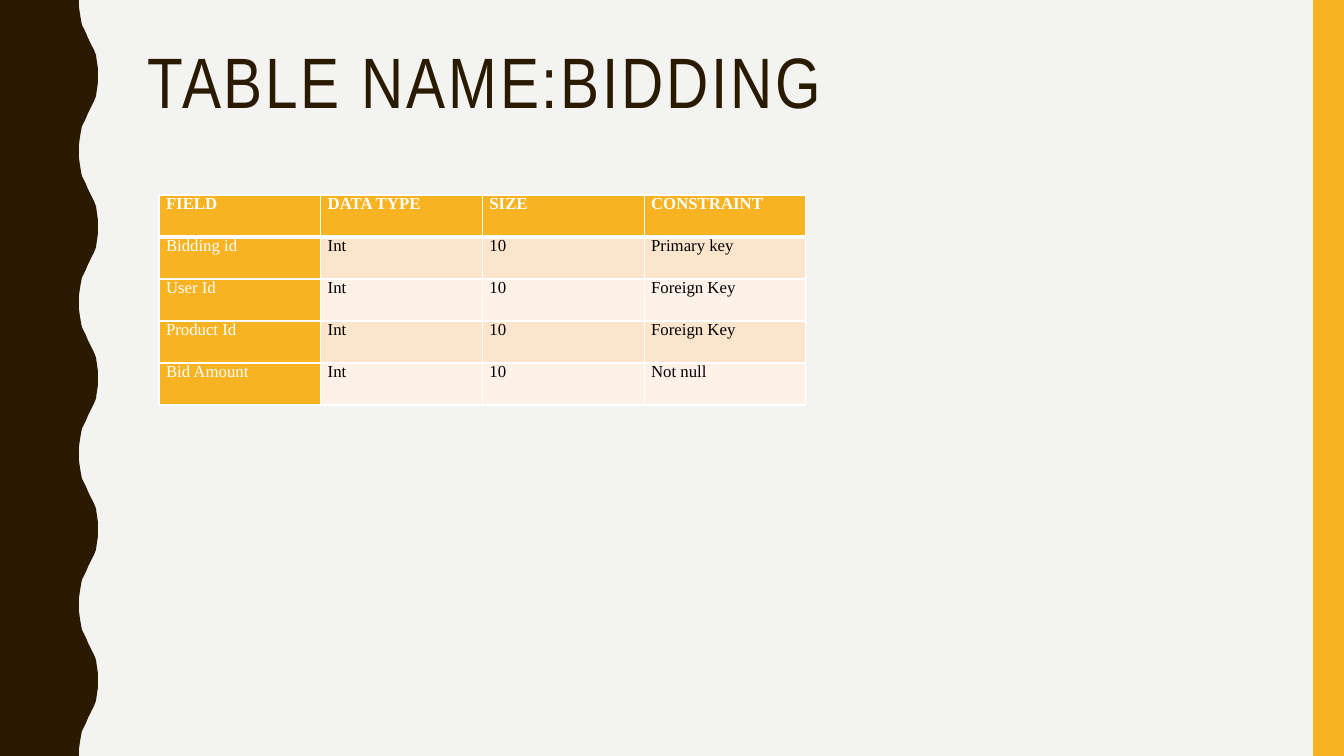
from lxml.etree import SubElement
from pptx import Presentation
from pptx.dml.color import RGBColor
from pptx.enum.shapes import MSO_SHAPE
from pptx.enum.text import MSO_ANCHOR
from pptx.oxml.ns import qn
from pptx.util import Pt

SLIDE_W, SLIDE_H = 1344, 756
EMU_PER_PX = 12192000 / SLIDE_W

BROWN, AMBER, PAPER = "2A1A00", "F8B323", "F3F3F2"
WHITE, BLACK = "FFFFFF", "000000"
BANDS = ("FCE5CD", "FEF2E8")

# Trough to crest of one wave; the way back mirrors it.
HALF_WAVE = [(79, 0), (79, 7), (80, 14), (81, 20), (82, 25), (84, 29), (86, 33),
             (88, 38), (90, 42), (92, 46), (94, 50), (96, 55), (97, 62), (98, 69),
             (98, 76)]
WAVE_COUNT = 5

BIDDING_FIELDS = [
    ("FIELD", "DATA TYPE", "SIZE", "CONSTRAINT"),
    ("Bidding id", "Int", "10", "Primary key"),
    ("User Id", "Int", "10", "Foreign Key"),
    ("Product Id", "Int", "10", "Foreign Key"),
    ("Bid Amount", "Int", "10", "Not null"),
]


def px(length):
    return round(length * EMU_PER_PX)


def color(hex_string):
    return RGBColor.from_string(hex_string)


def wavy_edge():
    """Points down the right edge of the side band, top to bottom."""
    period = SLIDE_H / WAVE_COUNT
    wave = HALF_WAVE + [(x, period - y) for x, y in HALF_WAVE[-2::-1]]
    return [(x, y + period * n) for n in range(WAVE_COUNT) for x, y in wave]


class SlideBuilder:
    def __init__(self, slide):
        self.slide = slide
        self.title_font = "Arial Narrow"
        self.table_font = "Times New Roman"

    def background(self, fill):
        self.slide.background.fill.solid()
        self.slide.background.fill.fore_color.rgb = color(fill)

    def paint(self, shape, fill):
        shape.shadow.inherit = False
        shape.fill.solid()
        shape.fill.fore_color.rgb = color(fill)
        shape.line.fill.background()

    def rectangle(self, left, top, width, height, fill):
        bar = self.slide.shapes.add_shape(
            MSO_SHAPE.RECTANGLE, px(left), px(top), px(width), px(height))
        self.paint(bar, fill)

    def outline(self, points, fill):
        start, *rest = [(px(x), px(y)) for x, y in points]
        builder = self.slide.shapes.build_freeform(*start)
        builder.add_line_segments(rest, close=True)
        self.paint(builder.convert_to_shape(), fill)

    def add_run(self, paragraph, text, font, size, ink, bold=False):
        run = paragraph.add_run()
        run.text = text
        run.font.name = font
        run.font.size = Pt(size)
        run.font.bold = bold
        run.font.color.rgb = color(ink)
        return run

    def title(self, text, left, top, width, height):
        frame = self.slide.shapes.add_textbox(
            px(left), px(top), px(width), px(height)).text_frame
        frame.word_wrap = True
        frame.vertical_anchor = MSO_ANCHOR.TOP
        heading = frame.paragraphs[0]
        heading.line_spacing = 0.9
        run = self.add_run(heading, text, self.title_font, 51, BROWN)
        run.font._element.set("spc", "200")

    def border(self, cell, side, width):
        line = SubElement(cell._tc.get_or_add_tcPr(), qn(f"a:ln{side}"), w=str(Pt(width)))
        SubElement(SubElement(line, qn("a:solidFill")), qn("a:srgbClr"), val=WHITE)

    def cell(self, cell, text, fill, ink, bold, widths):
        """Fill one table cell; widths gives its border widths in points by side."""
        cell.margin_left = cell.margin_right = px(7)
        cell.margin_top = cell.margin_bottom = 0
        for side, width in widths.items():
            self.border(cell, side, width)
        cell.fill.solid()
        cell.fill.fore_color.rgb = color(fill)
        self.add_run(cell.text_frame.paragraphs[0], text, self.table_font, 12, ink, bold)

    def table(self, rows, left, top, width, row_height):
        """Draw rows with a header row, a header column and banded values."""
        grid = self.slide.shapes.add_table(
            len(rows), len(rows[0]), px(left), px(top), px(width),
            px(row_height * len(rows))).table
        grid.horz_banding = False
        for r, row in enumerate(rows):
            grid.rows[r].height = px(row_height)
            widths = {"L": 1, "R": 1, "T": 3 if r == 1 else 1, "B": 3 if r == 0 else 1}
            for c, text in enumerate(row):
                is_header = r == 0 or c == 0
                fill = AMBER if is_header else BANDS[(r - 1) % 2]
                ink = WHITE if is_header else BLACK
                self.cell(grid.cell(r, c), text, fill, ink, r == 0, widths)


def main():
    deck = Presentation()
    deck.slide_width, deck.slide_height = px(SLIDE_W), px(SLIDE_H)
    page = SlideBuilder(deck.slides.add_slide(deck.slide_layouts[6]))
    page.background(PAPER)
    page.outline([(0, 0), *wavy_edge(), (0, SLIDE_H)], BROWN)
    page.rectangle(1313, 0, 31, SLIDE_H, AMBER)
    page.title("TABLE NAME:BIDDING", 138, 42, 1122, 164)
    page.table(BIDDING_FIELDS, 159, 195, 647, 42)
    deck.save("out.pptx")


if __name__ == "__main__":
    main()
